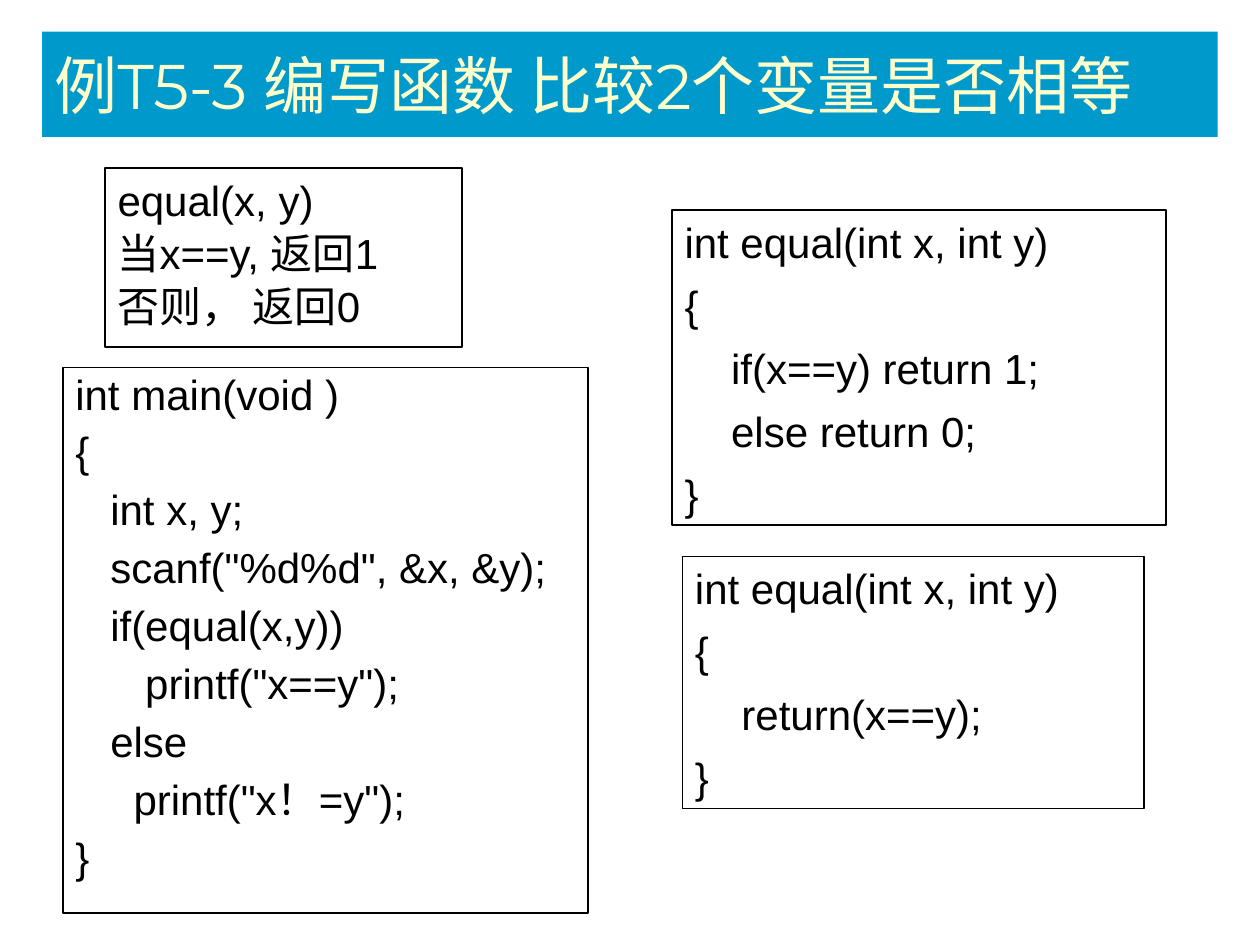
"""Build a slide on a C function that tests two values for equality."""
from dataclasses import dataclass

import pptx
import pptx.dml.color
import pptx.enum.shapes
import pptx.enum.text
import pptx.util

Cm = pptx.util.Cm
Pt = pptx.util.Pt
RGB = pptx.dml.color.RGBColor
Align = pptx.enum.text.PP_ALIGN
Anchor = pptx.enum.text.MSO_ANCHOR


@dataclass(frozen=True)
class Theme:
    band: RGB = RGB(0x00, 0x99, 0xCC)
    cream: RGB = RGB(0xFF, 0xFF, 0xCC)
    ink: RGB = RGB(0, 0, 0)
    head: str = "Montserrat"
    body: str = "Arial"
    big: Pt = Pt(36)
    text: Pt = Pt(24)
    rule: Pt = Pt(1)


THEME = Theme()

TASK = ["equal(x, y)", "当x==y, 返回1", "否则， 返回0"]

LONG = ["int equal(int x, int y)", "{", "    if(x==y) return 1;",
        "    else return 0;", "}"]

MAIN = ["int main(void )", "{", "   int x, y;",
        '   scanf("%d%d", &x, &y);', "   if(equal(x,y))",
        '      printf("x==y");', "   else", '     printf("x！=y");', "}"]

SHORT = ["int equal(int x, int y)", "{", "    return(x==y);", "}"]


def add_rect(slide, area):
    """Add a plain rectangle at left, top, width, height in centimetres."""
    shape = slide.shapes.add_shape(
        pptx.enum.shapes.MSO_SHAPE.RECTANGLE, *map(Cm, area))
    shape.shadow.inherit = False
    shape.text_frame.word_wrap = True
    return shape


def add_run(para, text, font, size, color):
    """Add one styled run to a paragraph."""
    run = para.add_run()
    run.text = text
    run.font.name = font
    run.font.size = size
    run.font.color.rgb = color


def add_title(slide, text, area):
    """Add the filled title band."""
    shape = add_rect(slide, area)
    shape.fill.solid()
    shape.fill.fore_color.rgb = THEME.band
    shape.line.fill.background()
    shape.text_frame.vertical_anchor = Anchor.MIDDLE
    para = shape.text_frame.paragraphs[0]
    para.alignment = Align.JUSTIFY
    add_run(para, text, THEME.head, THEME.big, THEME.cream)


def add_box(slide, lines, area, gap=7.2, pitch=1.0, align=Align.LEFT):
    """Add an outlined box with one paragraph per line."""
    shape = add_rect(slide, area)
    shape.fill.background()
    shape.line.color.rgb = THEME.ink
    shape.line.width = THEME.rule
    frame = shape.text_frame
    frame.vertical_anchor = Anchor.TOP
    for i, line in enumerate(lines):
        para = frame.add_paragraph() if i else frame.paragraphs[0]
        para.alignment = align
        para.line_spacing = pitch
        para.space_before = Pt(gap if i else 0)
        add_run(para, line, THEME.body, THEME.text, THEME.ink)


def main():
    """Build and save the slide."""
    deck = pptx.Presentation()
    deck.slide_width, deck.slide_height = Cm(25.4), Cm(19.05)
    slide = deck.slides.add_slide(deck.slide_layouts[6])
    add_title(slide, "例T5-3 编写函数 比较2个变量是否相等",
              (0.85, 0.64, 23.7, 2.12))
    add_box(slide, TASK, (2.12, 3.39, 7.2, 3.6), gap=1.5, align=Align.JUSTIFY)
    add_box(slide, LONG, (13.55, 4.23, 9.95, 6.35))
    add_box(slide, MAIN, (1.27, 7.41, 10.58, 11), pitch=0.9)
    add_box(slide, SHORT, (13.76, 11.22, 9.31, 5.08))
    deck.save("out.pptx")


if __name__ == "__main__":
    main()
